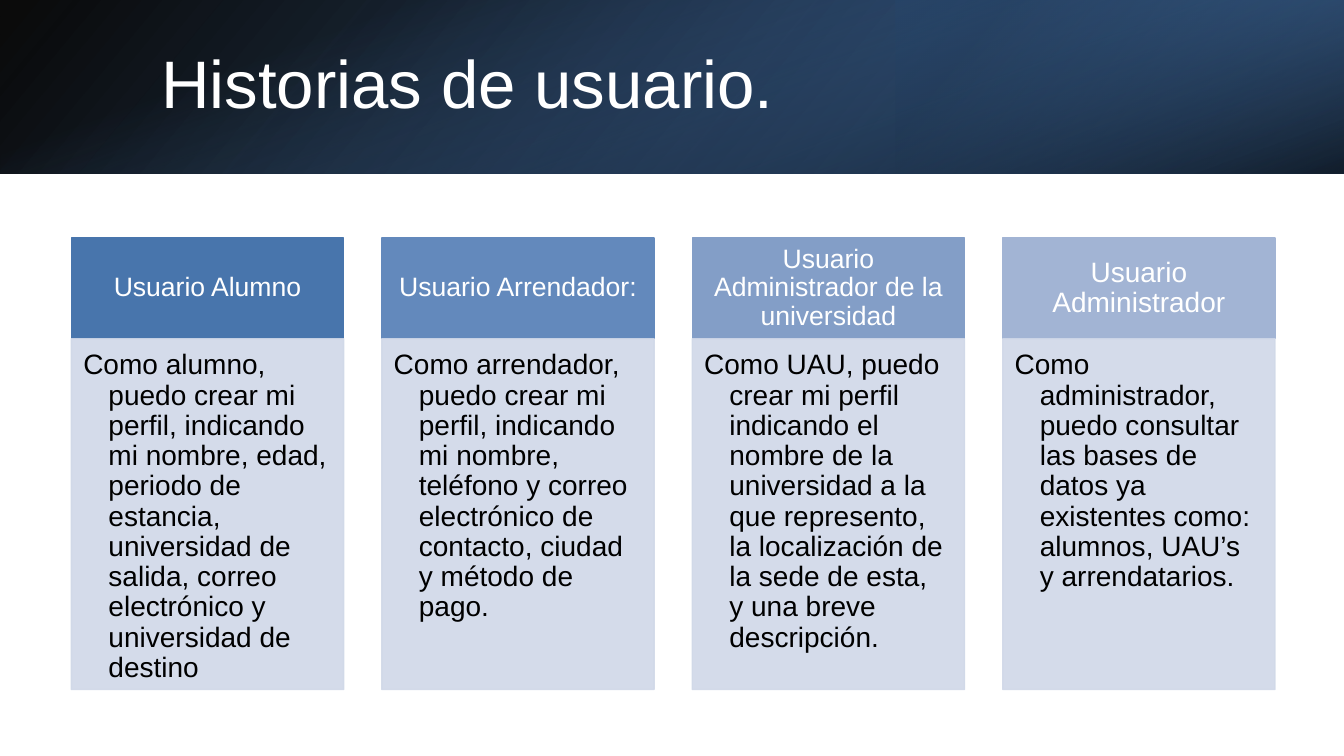
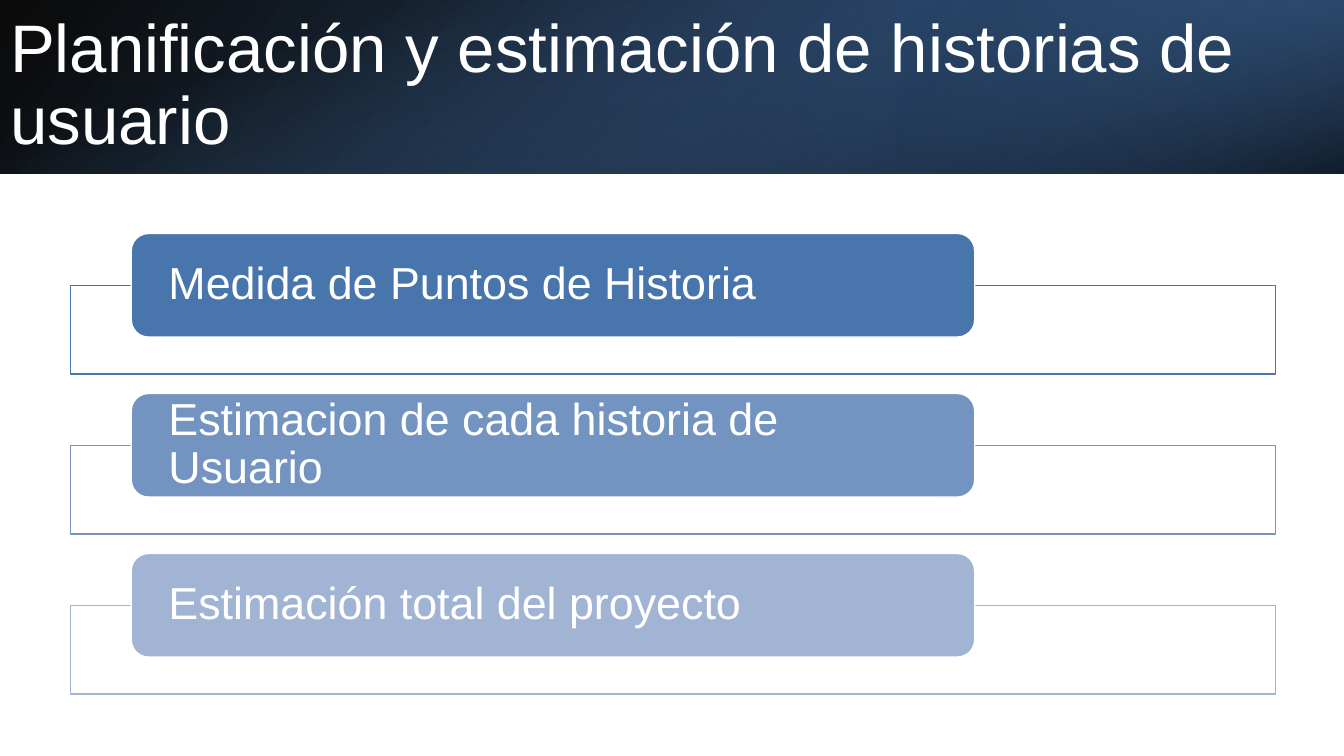
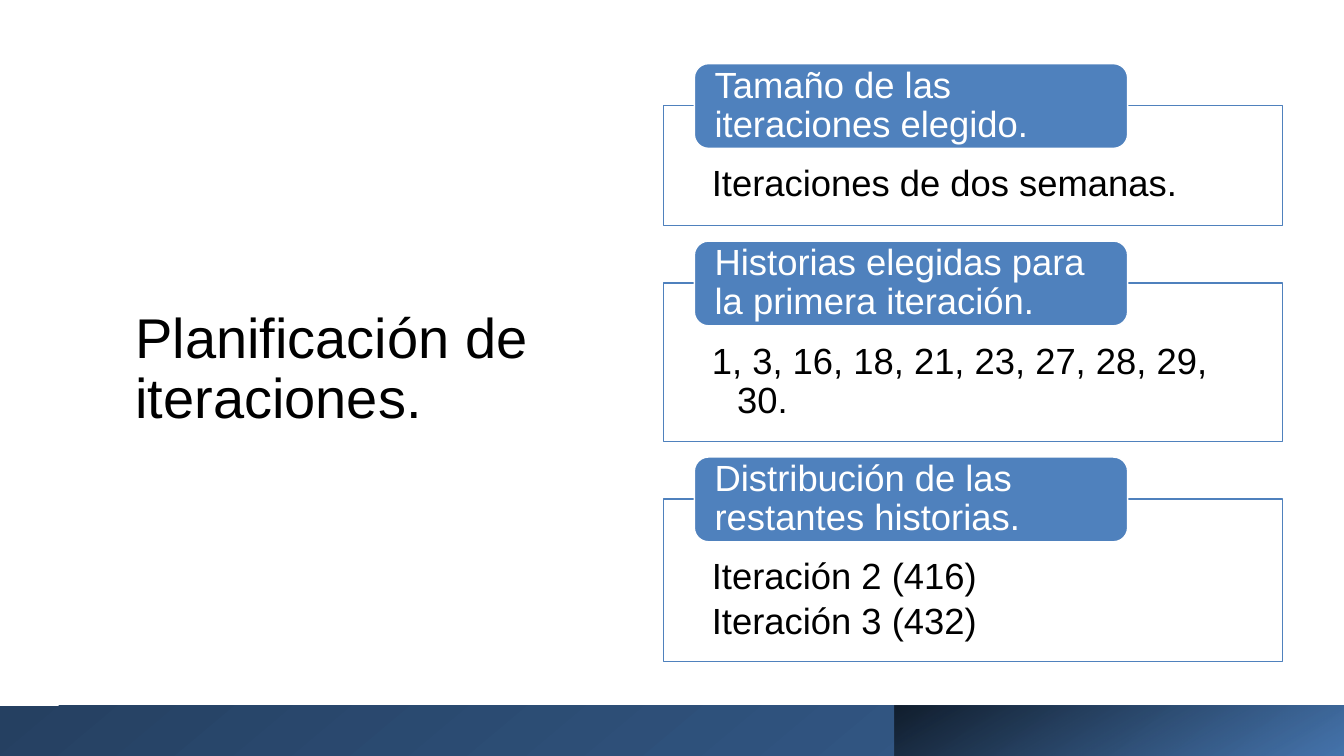
from lxml.etree import SubElement
from pptx import Presentation
from pptx.dml.color import RGBColor
from pptx.enum.shapes import MSO_SHAPE
from pptx.enum.text import MSO_ANCHOR, MSO_AUTO_SIZE, PP_ALIGN
from pptx.oxml import parse_xml
from pptx.oxml.ns import nsdecls, qn
from pptx.util import Pt

WIDTH, HEIGHT = 960, 540
BAND_HEIGHT = 124
FOOTER_TOP, FOOTER_HEIGHT = 504, 36.5
WHITE, BLACK = "FFFFFF", "000000"
ACCENT, NAVY, STEEL = "4F81BD", "254061", "376092"
PANEL = "D0D8E8"


def color(value):
    return RGBColor.from_string(value)


def write(frame, text, size=20, ink=BLACK, align=PP_ALIGN.LEFT,
          anchor=MSO_ANCHOR.TOP, insets=(7.2, 3.6, 7.2, 3.6), hanging=0, after=0):
    frame.word_wrap = True
    frame.auto_size = MSO_AUTO_SIZE.NONE
    frame.vertical_anchor = anchor
    (frame.margin_left, frame.margin_top,
     frame.margin_right, frame.margin_bottom) = map(Pt, insets)
    frame.text = text
    for paragraph in frame.paragraphs:
        paragraph.alignment = align
        paragraph.line_spacing = 0.9
        paragraph.space_before = Pt(0)
        paragraph.space_after = Pt(after)
        paragraph.font.name = "Arial"
        paragraph.font.size = Pt(size)
        paragraph.font.color.rgb = color(ink)
        if hanging:
            properties = paragraph._p.get_or_add_pPr()
            properties.set("marL", str(Pt(hanging)))
            properties.set("indent", str(-Pt(hanging)))


class Deck:
    def __init__(self):
        self.presentation = Presentation()
        self.presentation.slide_width = Pt(WIDTH)
        self.presentation.slide_height = Pt(HEIGHT)
        self.slide = None

    def new_slide(self):
        layout = self.presentation.slide_layouts.get_by_name("Title Only")
        self.slide = self.presentation.slides.add_slide(layout)

    def title(self, text, left, top, width, height, **style):
        title = self.slide.shapes.title
        title.left, title.top, title.width, title.height = map(
            Pt, (left, top, width, height))
        write(title.text_frame, text, anchor=MSO_ANCHOR.MIDDLE, **style)
        self.slide.shapes._spTree.append(title._element)

    def shape(self, kind, left, top, width, height):
        shape = self.slide.shapes.add_shape(
            kind, Pt(left), Pt(top), Pt(width), Pt(height))
        shape.shadow.inherit = False
        return shape

    def box(self, left, top, width, height, fill, line, text="",
            kind=MSO_SHAPE.RECTANGLE, opacity=100, **style):
        shape = self.shape(kind, left, top, width, height)
        shape.fill.solid()
        shape.fill.fore_color.rgb = color(fill)
        shape.line.color.rgb = color(line)
        shape.line.width = Pt(1)
        if opacity < 100:
            for paint in shape._element.spPr.iter(qn("a:srgbClr")):
                SubElement(paint, qn("a:alpha"), val=str(opacity * 1000))
        if text:
            write(shape.text_frame, text, **style)

    def tag(self, left, top, width, height, fill, text, inset, size):
        self.box(left, top, width, height, fill, WHITE, text,
                 kind=MSO_SHAPE.ROUNDED_RECTANGLE, size=size, ink=WHITE,
                 anchor=MSO_ANCHOR.MIDDLE, insets=(inset, 0, inset, 0))

    def gradient(self, left, top, width, height, stops, angle, rotation=0, flip=False):
        shape = self.shape(MSO_SHAPE.RECTANGLE, left, top, width, height)
        shape.rotation = rotation
        properties = shape._element.spPr
        if flip:
            properties.find(qn("a:xfrm")).set("flipH", "1")
        fill = parse_xml(f'<a:gradFill {nsdecls("a")} rotWithShape="1"/>')
        stop_list = SubElement(fill, qn("a:gsLst"))
        for position, value, opacity in stops:
            stop = SubElement(stop_list, qn("a:gs"), pos=str(position * 1000))
            paint = SubElement(stop, qn("a:srgbClr"), val=value)
            SubElement(paint, qn("a:alpha"), val=str(opacity * 1000))
        SubElement(fill, qn("a:lin"), ang=str(angle * 60000), scaled="0")
        properties.insert(2, fill)
        shape.line.fill.background()

    def header_band(self):
        self.gradient(0, 0, WIDTH, BAND_HEIGHT,
                      [(0, BLACK, 96), (100, STEEL, 100)], 140, flip=True)
        self.gradient(640, 0, 320, BAND_HEIGHT,
                      [(19, NAVY, 68), (100, ACCENT, 79)], 320, 180, True)
        offset = (WIDTH - BAND_HEIGHT) / 2
        self.gradient(offset, -offset, BAND_HEIGHT, WIDTH,
                      [(23, ACCENT, 0), (99, BLACK, 74)], 340, 90)

    def footer_band(self):
        self.gradient(0, FOOTER_TOP, WIDTH, FOOTER_HEIGHT,
                      [(0, NAVY, 100), (100, STEEL, 100)], 230, 180)
        self.gradient(639, FOOTER_TOP, 321, FOOTER_HEIGHT,
                      [(0, BLACK, 65), (99, ACCENT, 59)], 240, 180)


def user_stories(deck):
    deck.new_slide()
    deck.header_band()
    deck.title("Historias de usuario.", 108, 27.5, 790.5, 69, size=48, ink=WHITE)
    columns = [
        ("Usuario Alumno", 19, "4875AC",
         "Como alumno, puedo crear mi perfil, indicando mi nombre, edad, periodo de "
         "estancia, universidad de salida, correo electrónico y universidad de destino"),
        ("Usuario Arrendador:", 19, "6389BC",
         "Como arrendador, puedo crear mi perfil, indicando mi nombre, teléfono y correo "
         "electrónico de contacto, ciudad y método de pago."),
        ("Usuario Administrador de la universidad", 19, "839EC7",
         "Como UAU, puedo crear mi perfil indicando el nombre de la universidad a la que "
         "represento, la localización de la sede de esta, y una breve descripción."),
        ("Usuario Administrador", 20, "A2B4D4",
         "Como administrador, puedo consultar las bases de datos ya existentes como: "
         "alumnos, UAU’s y arrendatarios."),
    ]
    width = 194.5
    for index, (heading, size, fill, story) in enumerate(columns):
        left = 51 + index * 221.75
        deck.box(left, 170, width, 72, fill, fill, heading, size=size, ink=WHITE,
                 align=PP_ALIGN.CENTER, anchor=MSO_ANCHOR.MIDDLE,
                 insets=(11, 6, 11, 6))
        deck.box(left, 242, width, 250.5, PANEL, PANEL, story, opacity=90,
                 insets=(8.5, 8.5, 11.5, 12), hanging=18)


def story_estimation(deck):
    deck.new_slide()
    deck.header_band()
    deck.title("Planificación y estimación de historias de usuario",
               0, 18, WIDTH, 88, size=48, ink=WHITE)
    steps = [
        ("Medida de Puntos de Historia", "4875AC"),
        ("Estimacion de cada historia de Usuario", "7393C1"),
        ("Estimación total del proyecto", "A2B4D4"),
    ]
    for index, (text, fill) in enumerate(steps):
        top = 203.75 + index * 114.3
        deck.box(50.5, top, 860.5, 63.5, WHITE, fill)
        deck.tag(93.75, top - 37, 602.5, 74, fill, text, inset=23, size=32)


def iteration_planning(deck):
    deck.new_slide()
    deck.title("Planificación de iteraciones.", 89.5, 83, 318, 363.5, size=40)
    deck.footer_band()
    sections = [
        ("Tamaño de las iteraciones elegido.", "Iteraciones de dos semanas.", 85.5),
        ("Historias elegidas para la primera iteración.",
         "1, 3, 16, 18, 21, 23, 27, 28, 29, 30.", 113),
        ("Distribución de las restantes historias.",
         "Iteración 2 (416)\nIteración 3 (432)", 116),
    ]
    top = 75.5
    for heading, detail, height in sections:
        deck.box(474, top, 442, height, WHITE, ACCENT, detail, size=26,
                 insets=(34.5, 42.5, 34.5, 14.5), hanging=18, after=4)
        deck.tag(496, top - 30, 309.5, 60.5, ACCENT, heading, inset=11.5, size=26)
        top += height + 41.25


def main():
    deck = Deck()
    user_stories(deck)
    story_estimation(deck)
    iteration_planning(deck)
    deck.presentation.save("out.pptx")


if __name__ == "__main__":
    main()
